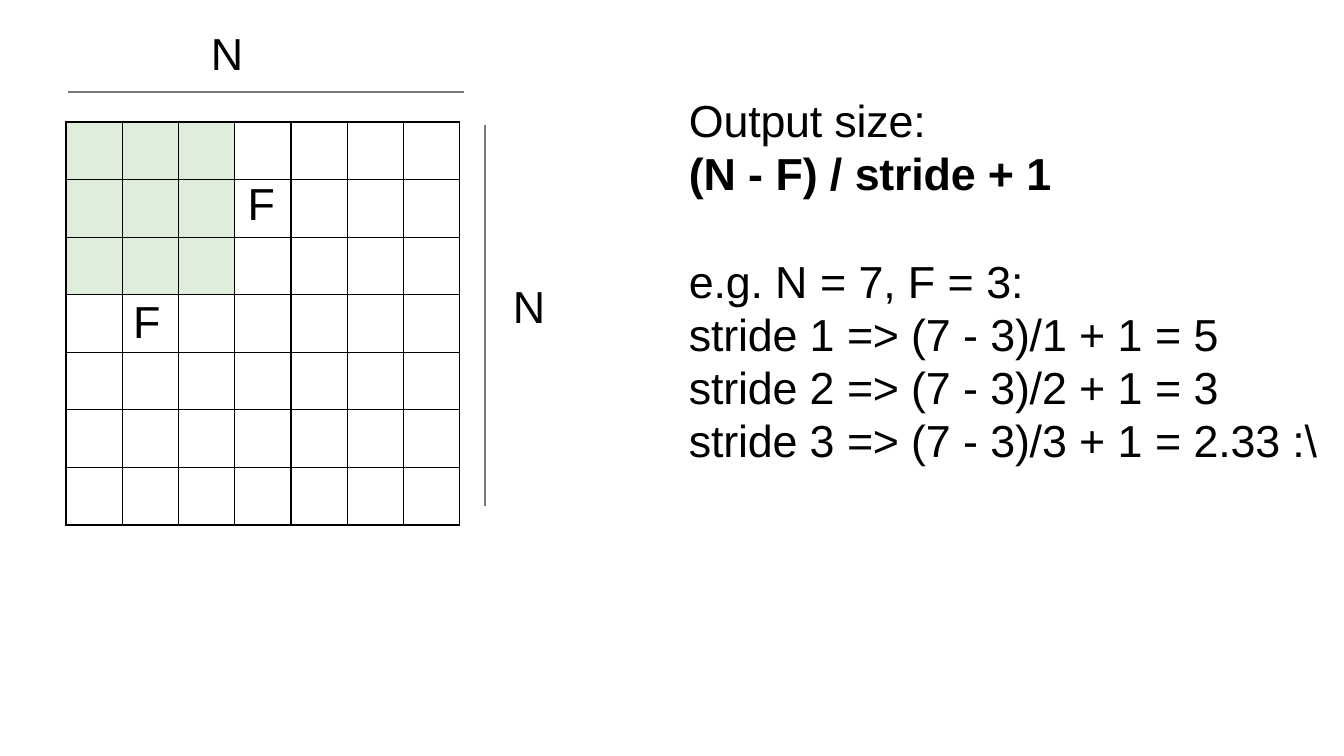
from lxml import etree
from pptx import Presentation
from pptx.dml.color import RGBColor
from pptx.enum.shapes import MSO_CONNECTOR
from pptx.oxml.ns import qn
from pptx.util import Pt

STRAIGHT = MSO_CONNECTOR.STRAIGHT
PX = 914400 / 134.4
FONT, SIZE = "Arial", 24
BLACK, GREY, GREEN = "000000", "797979", "DFEDDB"
N, F = 7, 3  # input size and filter size


def px(n):
    return round(n * PX)


def rgb(color):
    return RGBColor.from_string(color)


def add_run(p, text, bold=False, tight=False):
    r = p.add_run()
    r.text = text
    r.font.name, r.font.size, r.font.bold = FONT, Pt(SIZE), bold
    r.font.color.rgb = rgb(BLACK)
    if tight:
        r._r.get_or_add_rPr().set("spc", "-10")


def add_text(slide, x, y, w, h, lines, spacing=None):
    """Each line is (text, bold); '|' switches between tight and normal runs."""
    tf = slide.shapes.add_textbox(px(x), px(y), px(w), px(h)).text_frame
    tf.word_wrap = True
    tf.margin_left, tf.margin_top = px(1), px(3)
    tf.margin_right = tf.margin_bottom = 0
    for i, (text, bold) in enumerate(lines):
        p = tf.add_paragraph() if i else tf.paragraphs[0]
        if spacing:
            p.line_spacing = Pt(spacing)
        for j, part in enumerate(text.split("|")):
            add_run(p, part, bold, tight=j % 2 == 0)


def add_line(slide, x1, y1, x2, y2):
    line = slide.shapes.add_connector(STRAIGHT, px(x1), px(y1), px(x2), px(y2))
    line.line.color.rgb = rgb(GREY)
    line.line.width = Pt(1.5)
    etree.SubElement(line._element.spPr, qn("a:effectLst"))


def add_borders(cell):
    tcPr = cell._tc.get_or_add_tcPr()
    for side in ("lnL", "lnR", "lnT", "lnB"):
        ln = etree.SubElement(tcPr, qn("a:" + side), w=str(Pt(0.75)))
        fill = etree.SubElement(ln, qn("a:solidFill"))
        etree.SubElement(fill, qn("a:srgbClr"), val=BLACK)


def add_grid(slide, x, y, w, h, labels):
    table = slide.shapes.add_table(N, N, px(x), px(y), px(w), px(h)).table
    table.first_row = table.horz_banding = False
    for row in range(N):
        for col in range(N):
            cell = table.cell(row, col)
            add_borders(cell)
            if row < F and col < F:
                cell.fill.solid()
                cell.fill.fore_color.rgb = rgb(GREEN)
            else:
                cell.fill.background()
            if (row, col) in labels:
                text, indent, spacing = labels[row, col]
                cell.margin_left = px(indent)
                cell.margin_right = cell.margin_top = cell.margin_bottom = 0
                p = cell.text_frame.paragraphs[0]
                if spacing:
                    p.line_spacing = Pt(spacing)
                add_run(p, text)


def main():
    prs = Presentation()
    prs.slide_width, prs.slide_height = px(1344), px(756)
    slide = prs.slides.add_slide(prs.slide_layouts[6])

    # Input grid with the filter in its corner
    add_grid(slide, 66, 122, 394, 403,
             {(1, 3): ("F", 13, None), (3, 1): ("F", 11, 28.3)})

    # Side lengths
    add_line(slide, 68, 92, 464, 92)
    add_line(slide, 485, 125, 485, 506)
    for x, y in ((210, 23), (512, 276)):
        add_text(slide, x, y, 36, 58, [("N", False)])

    # Formula
    add_text(slide, 688, 90, 400, 110,
             [("Output size:", False),
              ("(N |- |F) |/ |stride |+ 1", True)], 28.6)

    # Worked example
    results = ((1, "5"), (2, "3"), (3, "|2.33 :\\"))
    example = [("e.g. |N = |7, |F = |3:", False)]
    example += [(f"stride |{s} |=> (7 |- |3)/{s} |+ 1 = {result}", False)
                for s, result in results]
    add_text(slide, 688, 251, 645, 216, example, 28.4)

    prs.save("out.pptx")


if __name__ == "__main__":
    main()
